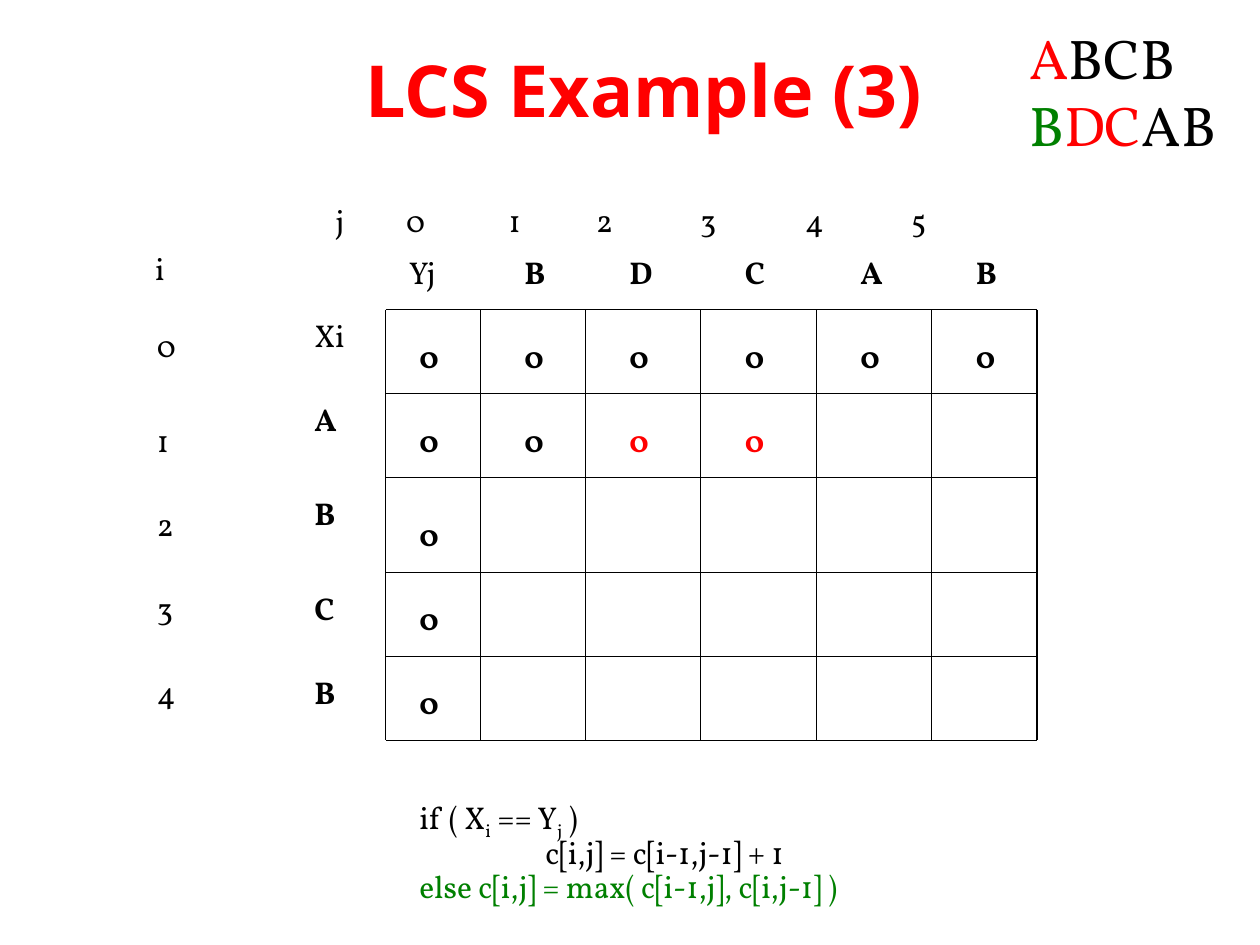
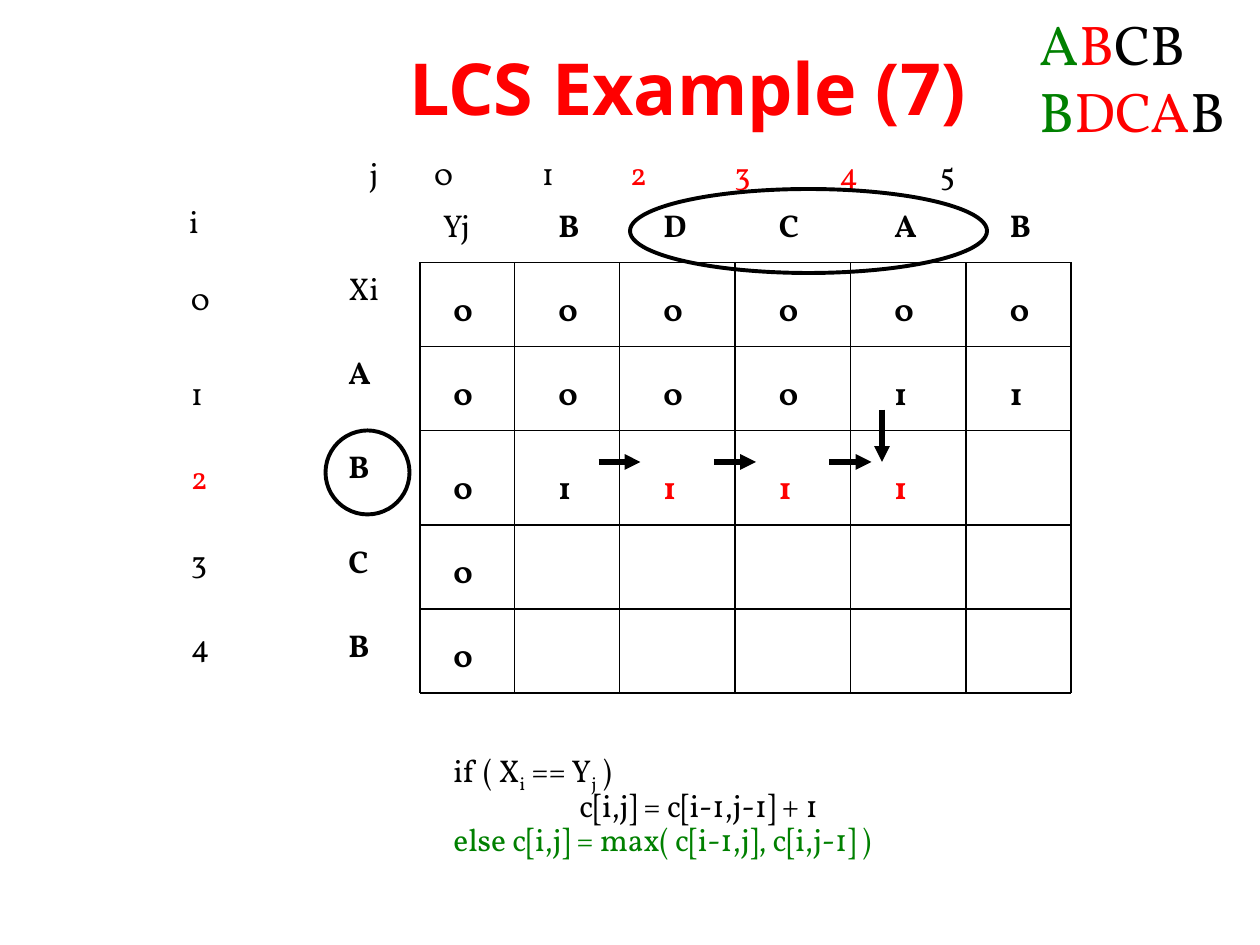
from dataclasses import dataclass

from lxml.etree import SubElement
from pptx import Presentation
from pptx.dml.color import RGBColor
from pptx.enum.shapes import MSO_CONNECTOR as Connector, MSO_SHAPE as Preset
from pptx.enum.text import MSO_ANCHOR as Anchor, PP_ALIGN as Align
from pptx.oxml.ns import qn
from pptx.slide import Slide
from pptx.util import Pt

BLACK, RED, GREEN = "000000", "FF0000", "008000"
TITLE_FONT, BODY_FONT = "Noto Sans", "Vollkorn"
BODY_SIZE = 18

COLUMN_LINES = (0, 54, 114, 180, 246, 312, 372)
ROW_LINES = (0, 48, 96, 150, 198, 246)
X_LETTERS = ("Xi", "A", "B", "C", "B")
Y_LETTERS = ("Yj", "B", "D", "C", "A", "B")
CELL_LEFT = (12, 18, 18, 18, 18, 18)
CELL_TOP = (12, 12, 18, 12, 12)
X_LETTER_TOP = (0, 0, 6, 6, 6)
I_INDEX_TOP = (6, 12, 12, 6, 6)
Y_LETTER_LEFT = (6, 18, 18, 18, 18, 18)


@dataclass(frozen=True)
class Span:
    text: str
    color: str = BLACK
    bold: bool = False
    size: float = BODY_SIZE
    font: str = BODY_FONT
    subscript: bool = False


@dataclass(frozen=True)
class Line:
    spans: tuple[Span, ...]
    indent: float = 0
    spacing: float = 1.0
    tabs: tuple[float, ...] = ()
    align: Align = Align.LEFT


@dataclass(frozen=True)
class Box:
    left: float
    top: float
    width: float
    height: float


@dataclass(frozen=True)
class Step:
    title: str
    title_box: Box
    grid_left: float
    grid_top: float
    j_left: float
    j_tabs: tuple[float, ...]
    strings_box: Box
    strings: tuple[tuple[tuple[str, str], ...], ...]
    values: tuple[str, ...]
    red_cells: frozenset[tuple[int, int]]
    red_i: frozenset[int] = frozenset()
    red_j: frozenset[int] = frozenset()
    marked: bool = False


CODE = (
    Line((Span("if ( X"), Span("i", subscript=True), Span(" == Y"),
          Span("j", subscript=True), Span(" )")), indent=144, spacing=0.9),
    Line((Span("c[i,j] = c[i-1,j-1] + 1"),), indent=216, spacing=0.9),
    Line((Span("else c[i,j] = max( c[i-1,j], c[i,j-1] )", GREEN),),
         indent=144, spacing=0.9),
)

STEPS = (
    Step(
        title="LCS Example (3)",
        title_box=Box(41, 15, 654, 72),
        grid_left=220.5, grid_top=177,
        j_left=184.5, j_tabs=(40.5, 99, 149, 208.5, 268.5, 329),
        strings_box=Box(581, 10, 126, 84),
        strings=((("A", RED), ("BCB", BLACK)),
                 (("B", GREEN), ("DC", RED), ("AB", BLACK))),
        values=("000000", "0000", "0", "0", "0"),
        red_cells=frozenset({(1, 2), (1, 3)}),
    ),
    Step(
        title="LCS Example (7)",
        title_box=Box(66, 13.5, 654, 72),
        grid_left=240, grid_top=150,
        j_left=204, j_tabs=(37, 98.5, 149, 208.5, 268.5, 326),
        strings_box=Box(587, 2, 126, 84),
        strings=((("A", GREEN), ("B", RED), ("CB", BLACK)),
                 (("B", GREEN), ("DCA", RED), ("B", BLACK))),
        values=("000000", "000011", "01111", "0", "0"),
        red_cells=frozenset({(2, 2), (2, 3), (2, 4)}),
        red_i=frozenset({2}),
        red_j=frozenset({2, 3, 4}),
        marked=True,
    ),
)


def rgb(color: str) -> RGBColor:
    return RGBColor.from_string(color)


def pick(is_red: bool) -> str:
    return RED if is_red else BLACK


def add_text(slide: Slide, box: Box, lines: tuple[Line, ...],
             anchor: Anchor = Anchor.TOP) -> None:
    frame = slide.shapes.add_textbox(
        Pt(box.left), Pt(box.top), Pt(box.width), Pt(box.height)).text_frame
    frame.word_wrap = True
    frame.vertical_anchor = anchor
    for number, line in enumerate(lines):
        paragraph = frame.add_paragraph() if number else frame.paragraphs[0]
        paragraph.alignment = line.align
        paragraph.line_spacing = line.spacing
        properties = paragraph._p.get_or_add_pPr()
        if line.indent:
            properties.set("marL", str(Pt(line.indent)))
            properties.set("indent", "0")
        if line.tabs:
            stops = SubElement(properties, qn("a:tabLst"))
            for position in line.tabs:
                SubElement(stops, qn("a:tab"), pos=str(Pt(position)), algn="l")
        for span in line.spans:
            run = paragraph.add_run()
            run.text = span.text
            run.font.name = span.font
            run.font.size = Pt(span.size)
            run.font.bold = span.bold
            run.font.color.rgb = rgb(span.color)
            if span.subscript:
                run._r.get_or_add_rPr().set("baseline", "-25000")


def add_label(slide: Slide, left: float, top: float, span: Span) -> None:
    add_text(slide, Box(left, top, 40, 36), (Line((span,)),))


def add_rule(slide: Slide, start: tuple[float, float], end: tuple[float, float],
             weight: float = 0.75, arrow: bool = False) -> None:
    rule = slide.shapes.add_connector(
        Connector.STRAIGHT, Pt(start[0]), Pt(start[1]), Pt(end[0]), Pt(end[1]))
    rule.line.color.rgb = rgb(BLACK)
    rule.line.width = Pt(weight)
    if arrow:
        SubElement(rule.line._get_or_add_ln(), qn("a:tailEnd"), type="triangle")
    SubElement(rule._element.spPr, qn("a:effectLst"))


def add_ring(slide: Slide, box: Box) -> None:
    ring = slide.shapes.add_shape(
        Preset.OVAL, Pt(box.left), Pt(box.top), Pt(box.width), Pt(box.height))
    ring.shadow.inherit = False
    ring.fill.background()
    ring.line.color.rgb = rgb(BLACK)
    ring.line.width = Pt(2.25)


def draw_grid(slide: Slide, left: float, top: float) -> None:
    right, bottom = left + COLUMN_LINES[-1], top + ROW_LINES[-1]
    for offset in COLUMN_LINES:
        add_rule(slide, (left + offset, top), (left + offset, bottom))
    for offset in ROW_LINES:
        add_rule(slide, (left, top + offset), (right, top + offset))


def draw_headings(slide: Slide, step: Step) -> None:
    left, top = step.grid_left, step.grid_top
    j_spans = [Span("j")]
    for j in range(len(Y_LETTERS)):
        j_spans.append(Span(f"\t{j}", pick(j in step.red_j)))
    add_text(slide, Box(step.j_left, top - 65.5, 400, 29),
             (Line(tuple(j_spans), tabs=step.j_tabs),))
    add_label(slide, left - 139, top - 38, Span("i"))
    for j, letter in enumerate(Y_LETTERS):
        add_label(slide, left + COLUMN_LINES[j] + Y_LETTER_LEFT[j], top - 36,
                  Span(letter, bold=j > 0))
    for i, letter in enumerate(X_LETTERS):
        row_top = top + ROW_LINES[i]
        add_label(slide, left - 138, row_top + I_INDEX_TOP[i],
                  Span(str(i), pick(i in step.red_i)))
        add_label(slide, left - 48, row_top + X_LETTER_TOP[i],
                  Span(letter, bold=i > 0))


def draw_values(slide: Slide, step: Step) -> None:
    for i, row in enumerate(step.values):
        for j, value in enumerate(row):
            add_label(slide, step.grid_left + COLUMN_LINES[j] + CELL_LEFT[j],
                      step.grid_top + ROW_LINES[i] + CELL_TOP[i],
                      Span(value, pick((i, j) in step.red_cells), bold=True))


def draw_marks(slide: Slide, left: float, top: float) -> None:
    add_ring(slide, Box(left - 54, top + 96, 48, 48))
    add_ring(slide, Box(left + 120, top - 42, 204, 48))
    arrow_y = top + 114
    for offset in COLUMN_LINES[2:5]:
        add_rule(slide, (left + offset - 12, arrow_y),
                 (left + offset + 12, arrow_y), 3, True)
    down_x = left + COLUMN_LINES[4] + 18
    add_rule(slide, (down_x, arrow_y - 30), (down_x, arrow_y), 3, True)


def draw_step(slide: Slide, step: Step) -> None:
    title = Span(step.title, RED, True, 41, TITLE_FONT)
    add_text(slide, step.title_box, (Line((title,), align=Align.CENTER),),
             Anchor.MIDDLE)
    draw_grid(slide, step.grid_left, step.grid_top)
    draw_headings(slide, step)
    draw_values(slide, step)
    add_text(slide, Box(step.grid_left - 132, step.grid_top + 276, 486, 85), CODE)
    if step.marked:
        draw_marks(slide, step.grid_left, step.grid_top)
    add_text(slide, step.strings_box, tuple(
        Line(tuple(Span(text, color, size=32) for text, color in string))
        for string in step.strings))


def main() -> None:
    deck = Presentation()
    deck.slide_width, deck.slide_height = Pt(720), Pt(540)
    for step in STEPS:
        draw_step(deck.slides.add_slide(deck.slide_layouts[6]), step)
    deck.save("out.pptx")


if __name__ == "__main__":
    main()
